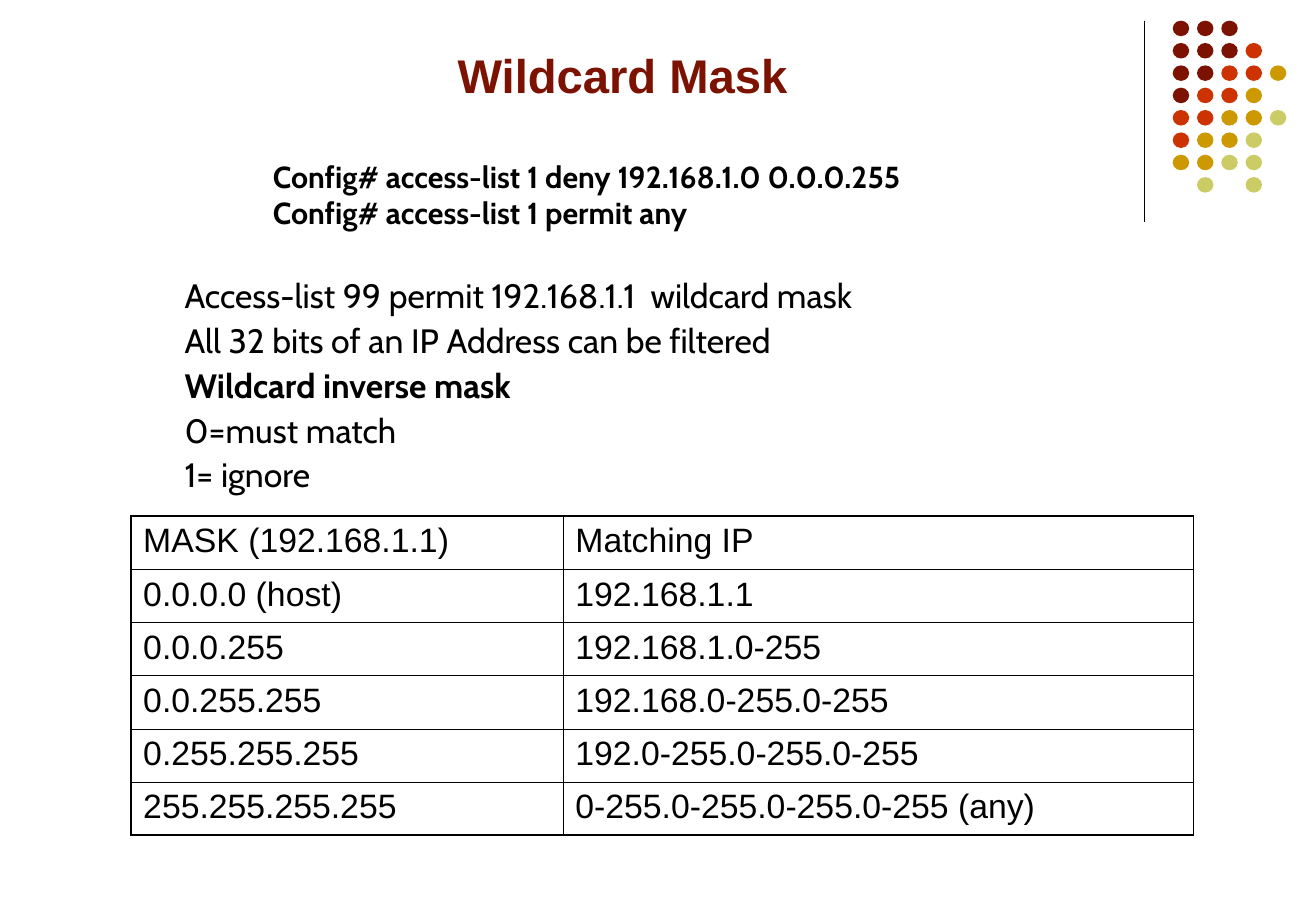
import pptx
import pptx.util
import pptx.dml.color
import pptx.enum.shapes
import pptx.enum.text
import pptx.oxml
import pptx.oxml.ns
from dataclasses import dataclass


@dataclass(frozen=True)
class Theme:
    """Colours, fonts, type sizes and line widths of the slide."""
    ink: str = "000000"
    maroon: str = "7C1302"
    red: str = "CC3300"
    gold: str = "CC9900"
    olive: str = "CCCC66"
    heading_font: str = "Arial"
    body_font: str = "Cabin"
    title_size: int = 28
    code_size: int = 18
    body_size: int = 20
    rule_width: float = 0.74
    frame_width: float = 1.08
    grid_width: float = 0.45


THEME = Theme()
GRID_STEP = 0.2
DOT_ROWS = ("MMM", "MMMR", "MMRRG", "MRRG", "RRGGO", "RGGO", "GGOO", " O O")
DOT_COLORS = {"M": THEME.maroon, "R": THEME.red, "G": THEME.gold, "O": THEME.olive}
COMMANDS = (
    "Config# access-list 1 deny 192.168.1.0 0.0.0.255",
    "Config# access-list 1 permit any",
)
RULES = (
    "Access-list 99 permit 192.168.1.1  wildcard mask",
    "All 32 bits of an IP Address can be filtered",
    "Wildcard inverse mask",
    "0=must match",
    "1= ignore",
)
MASKS = (
    ("MASK (192.168.1.1)", "Matching IP"),
    ("0.0.0.0 (host)", "192.168.1.1"),
    ("0.0.0.255", "192.168.1.0-255"),
    ("0.0.255.255", "192.168.0-255.0-255"),
    ("0.255.255.255", "192.0-255.0-255.0-255"),
    ("255.255.255.255", "0-255.0-255.0-255.0-255 (any)"),
)


def grid(*steps):
    """Turn grid steps into slide lengths."""
    return [pptx.util.Inches(step * GRID_STEP) for step in steps]


def rgb(color):
    """Turn a hex string into a colour."""
    return pptx.dml.color.RGBColor.from_string(color)


def write(frame, lines, *, size, font, color=THEME.ink, bold=(), before=0, spacing=1.0, hanging=0):
    """Fill a text frame with one formatted paragraph for each line."""
    frame.word_wrap = True
    frame.vertical_anchor = pptx.enum.text.MSO_ANCHOR.TOP
    for index, line in enumerate(lines):
        paragraph = frame.paragraphs[0] if index == 0 else frame.add_paragraph()
        paragraph.alignment = pptx.enum.text.PP_ALIGN.LEFT
        paragraph.space_before = pptx.util.Pt(before)
        paragraph.line_spacing = spacing
        properties = paragraph._p.get_or_add_pPr()
        indent = pptx.util.Inches(hanging)
        properties.set("marL", str(indent))
        properties.set("indent", str(-indent))
        properties.append(pptx.oxml.parse_xml(f"<a:buNone {pptx.oxml.ns.nsdecls('a')}/>"))
        run = paragraph.add_run()
        run.text = line
        run.font.size = pptx.util.Pt(size)
        run.font.name = font
        run.font.bold = line in bold
        run.font.color.rgb = rgb(color)


def fill_placeholder(placeholder, area, lines, **style):
    """Move a template placeholder to an area and write its text."""
    placeholder.left, placeholder.top, placeholder.width, placeholder.height = grid(*area)
    placeholder.text_frame.auto_size = pptx.enum.text.MSO_AUTO_SIZE.NONE
    write(placeholder.text_frame, lines, **style)


def draw_rule(slide, column, top, bottom):
    """Draw the vertical rule beside the dots."""
    rule = slide.shapes.add_connector(
        pptx.enum.shapes.MSO_CONNECTOR.STRAIGHT, *grid(column, top, column, bottom))
    rule.line.color.rgb = rgb(THEME.ink)
    rule.line.width = pptx.util.Pt(THEME.rule_width)
    rule._element.spPr.append(
        pptx.oxml.parse_xml(f"<a:effectLst {pptx.oxml.ns.nsdecls('a')}/>"))


def draw_dots(slide, left, top, row_pitch, width, height):
    """Draw the grouped corner dots from their colour pattern."""
    dots = slide.shapes.add_group_shape()
    for row, pattern in enumerate(DOT_ROWS):
        for column, code in enumerate(pattern):
            if code in DOT_COLORS:
                dot = dots.shapes.add_shape(
                    pptx.enum.shapes.MSO_SHAPE.OVAL,
                    *grid(left + column, top + row * row_pitch, width, height))
                dot.shadow.inherit = False
                dot.fill.solid()
                dot.fill.fore_color.rgb = rgb(DOT_COLORS[code])
                dot.line.fill.background()


def border_cell(cell, outer_sides):
    """Draw the four borders of a cell, heavier on the table's outer sides."""
    properties = cell._tc.get_or_add_tcPr()
    for position, side in enumerate("LRTB"):
        points = THEME.frame_width if side in outer_sides else THEME.grid_width
        properties.insert(position, pptx.oxml.parse_xml(
            f"<a:ln{side} {pptx.oxml.ns.nsdecls('a')} w='{pptx.util.Pt(points)}'>"
            f"<a:solidFill><a:srgbClr val='{THEME.ink}'/></a:solidFill></a:ln{side}>"))


def add_mask_table(slide, left, top, column_widths, row_height):
    """Add the table of masks and the addresses they match."""
    last_row, last_column = len(MASKS) - 1, len(column_widths) - 1
    area = grid(left, top, sum(column_widths), row_height * len(MASKS))
    table = slide.shapes.add_table(len(MASKS), len(column_widths), *area).table
    table.first_row = table.horz_banding = False
    for column, width in zip(table.columns, grid(*column_widths)):
        column.width = width
    for row, texts in enumerate(MASKS):
        for column, text in enumerate(texts):
            cell = table.cell(row, column)
            cell.fill.background()
            write(cell.text_frame, [text], size=THEME.body_size, font=THEME.heading_font)
            edges = {"L": column == 0, "R": column == last_column,
                     "T": row == 0, "B": row == last_row}
            border_cell(cell, [side for side, outer in edges.items() if outer])


def main():
    """Build the wildcard mask slide and save it."""
    deck = pptx.Presentation()
    deck.slide_width, deck.slide_height = pptx.util.Inches(10.84), pptx.util.Inches(7.5)
    slide = deck.slides.add_slide(deck.slide_layouts[1])
    draw_rule(slide, 47.15, 0.85, 9.15)
    draw_dots(slide, 48.3, 0.85, 0.92, 0.68, 0.64)
    commands = slide.shapes.add_textbox(*grid(10.75, 6.25, 29.75, 3.5))
    write(commands.text_frame, COMMANDS, size=THEME.code_size,
          font=THEME.body_font, bold=COMMANDS)
    fill_placeholder(slide.placeholders[1], (7.1, 11.25, 37.1, 9.6), RULES,
                     size=THEME.body_size, font=THEME.body_font, bold=RULES[2:3],
                     before=5, spacing=0.9, hanging=0.38)
    add_mask_table(slide, 5.4, 21.25, (17.8, 25.95), 2.19)
    heading = ["Wildcard Mask"]
    fill_placeholder(slide.shapes.title, (18.35, 1.65, 17.1, 3.5), heading,
                     size=THEME.title_size, font=THEME.heading_font,
                     color=THEME.maroon, bold=heading, before=3)
    deck.save("out.pptx")


main()
